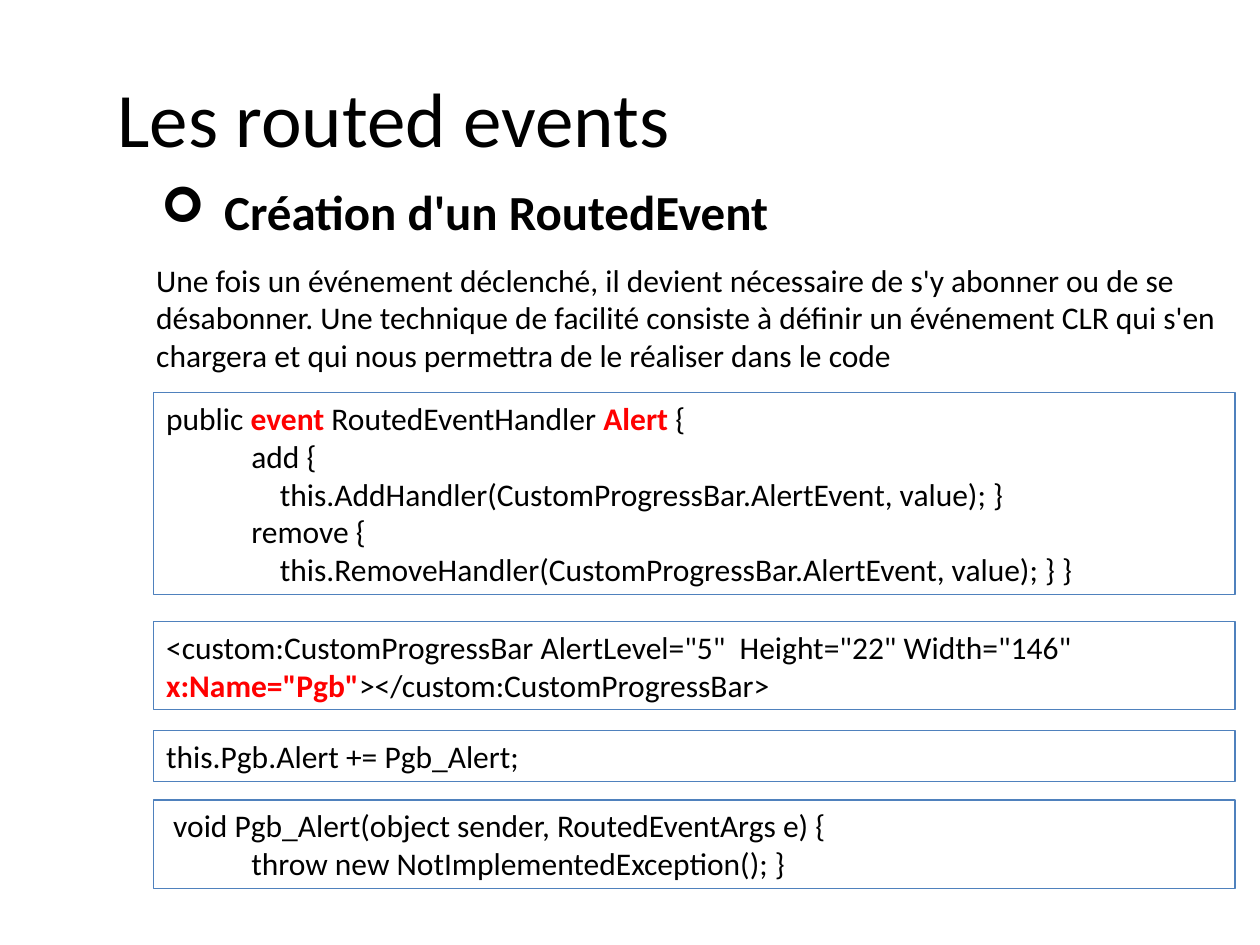
"""Build the slide on creating a routed event."""
from lxml.etree import SubElement
from pptx import Presentation
from pptx.dml.color import RGBColor
from pptx.enum.shapes import MSO_SHAPE
from pptx.enum.text import MSO_ANCHOR, PP_ALIGN
from pptx.oxml.ns import qn
from pptx.util import Cm, Pt


def rgb(color):
    return RGBColor.from_string(color)


def add_text(sp, text, size=18, bold=False, anchor=MSO_ANCHOR.TOP, bullet=None):
    tf = sp.text_frame
    tf.word_wrap = True
    tf.vertical_anchor = anchor
    for i, line in enumerate(text.split("\n")):
        p = tf.add_paragraph() if i else tf.paragraphs[0]
        p.alignment = PP_ALIGN.LEFT
        if bullet:
            pPr = p._p.get_or_add_pPr()
            pPr.set("marL", str(Cm(1.27)))
            pPr.set("indent", str(-Cm(1.27)))
            SubElement(pPr, qn("a:buFont"), typeface="Wingdings")
            SubElement(pPr, qn("a:buChar"), char=bullet)
        for j, part in enumerate(line.split("|")):
            marked = j % 2 == 1
            r = p.add_run()
            r.text = part
            r.font.name = "Calibri"
            r.font.size = Pt(size)
            r.font.bold = bold or marked
            r.font.color.rgb = rgb("FF0000" if marked else "000000")


prs = Presentation()
prs.slide_width, prs.slide_height = Cm(25.4), Cm(19.05)
s = prs.slides.add_slide(prs.slide_layouts[6])

sp = s.shapes.add_textbox(Cm(2.12), Cm(0.76), Cm(22.43), Cm(3.18))
add_text(sp, "Les routed events", size=44, anchor=MSO_ANCHOR.MIDDLE)

sp = s.shapes.add_textbox(Cm(3), Cm(3.53), Cm(22.4), Cm(1.45))
add_text(sp, "Création d'un RoutedEvent", size=28, bold=True, bullet="➢")

sp = s.shapes.add_textbox(Cm(2.9), Cm(5.13), Cm(22), Cm(2.54))
add_text(sp, "Une fois un événement déclenché, il devient nécessaire de s'y abonner "
             "ou de se désabonner. Une technique de facilité consiste à définir un "
             "événement CLR qui s'en chargera et qui nous permettra de le réaliser "
             "dans le code")

event_code = """public |event| RoutedEventHandler |Alert| {
            add {
                this.AddHandler(CustomProgressBar.AlertEvent, value); }
            remove {
                this.RemoveHandler(CustomProgressBar.AlertEvent, value); } }"""
xaml_code = ('<custom:CustomProgressBar AlertLevel="5"  Height="22" Width="146" '
             '|x:Name="Pgb"|></custom:CustomProgressBar>')
subscribe_code = "this.Pgb.Alert += Pgb_Alert;"
handler_code = """ void Pgb_Alert(object sender, RoutedEventArgs e) {
            throw new NotImplementedException(); }"""

for top, height, code in [
    (7.92, 4.07, event_code),
    (12.53, 1.78, xaml_code),
    (14.73, 1.02, subscribe_code),
    (16.13, 1.78, handler_code),
]:
    sp = s.shapes.add_shape(MSO_SHAPE.RECTANGLE, Cm(3.1), Cm(top), Cm(21.8), Cm(height))
    sp.shadow.inherit = False
    sp.fill.background()
    sp.line.color.rgb = rgb("4F81BD")
    sp.line.width = Pt(0.75)
    add_text(sp, code)

prs.save("out.pptx")
